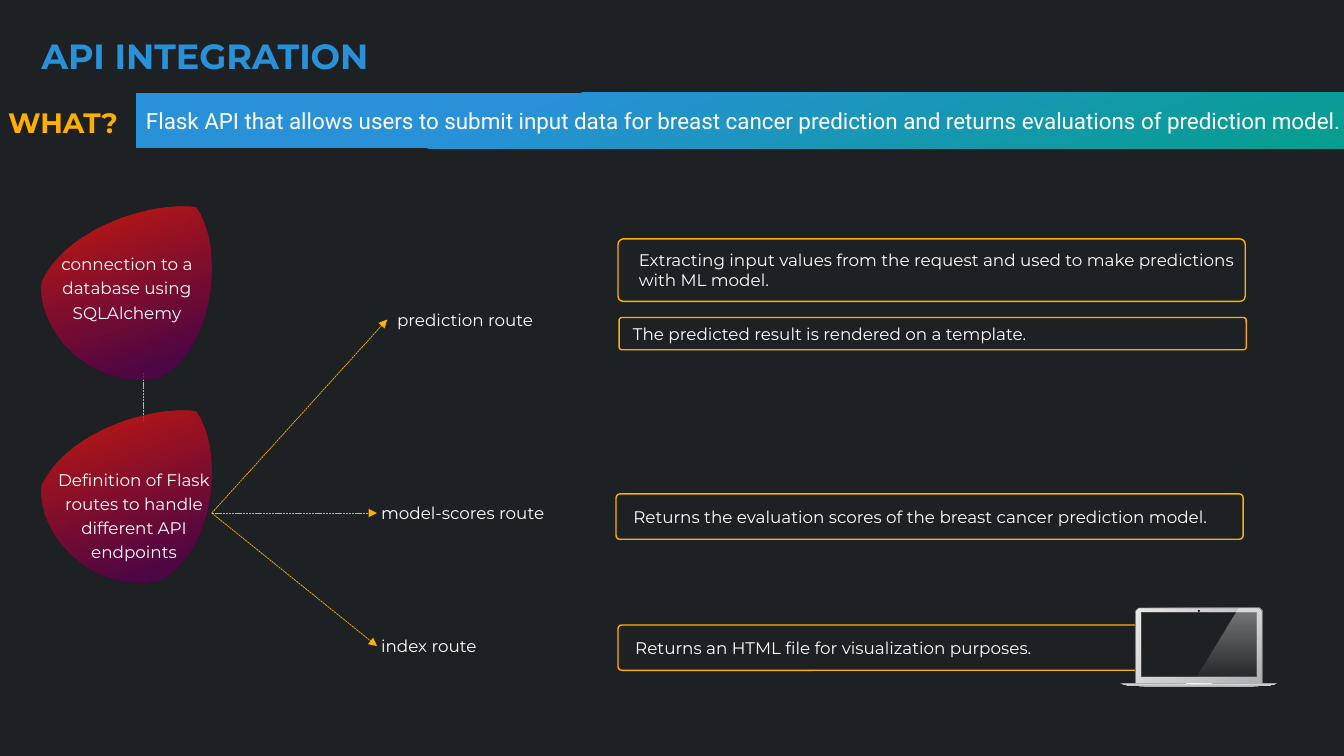
from dataclasses import dataclass

from lxml.etree import SubElement
from pptx import Presentation
from pptx.dml.color import RGBColor
from pptx.enum.dml import MSO_LINE
from pptx.enum.shapes import MSO_CONNECTOR, MSO_SHAPE
from pptx.enum.text import MSO_ANCHOR, MSO_AUTO_SIZE, PP_ALIGN
from pptx.oxml.ns import qn
from pptx.util import Inches, Pt


@dataclass(frozen=True)
class Theme:
    background: str = "1E2123"
    blue: str = "2891D7"
    teal: str = "00A082"
    amber: str = "FFAF00"
    red: str = "D71414"
    purple: str = "5A004B"
    white: str = "FFFFFF"
    silver: str = "E8E7E8"
    steel: str = "AFB2B4"
    graphite: str = "47484B"
    black: str = "0C0C0C"
    font: str = "Montserrat"
    banner_font: str = "Roboto"
    title_size: int = 25
    question_size: int = 20
    banner_size: int = 16
    body_size: int = 12


@dataclass(frozen=True)
class Box:
    left: float
    top: float
    width: float
    height: float

    def inches(self):
        return [Inches(v) for v in (self.left, self.top, self.width, self.height)]


THEME = Theme()


def rgb(color):
    return RGBColor.from_string(color)


def write(shape, text, size=THEME.body_size, color=THEME.white, font=THEME.font, bold=False,
          align=PP_ALIGN.LEFT, anchor=MSO_ANCHOR.TOP, spacing=1.0, left=0.1, right=0.1):
    frame = shape.text_frame
    frame.text = text
    frame.word_wrap = True
    frame.auto_size = MSO_AUTO_SIZE.NONE
    frame.vertical_anchor = anchor
    frame.margin_left, frame.margin_right = Inches(left), Inches(right)
    para = frame.paragraphs[0]
    para.alignment = align
    para.line_spacing = spacing
    para.font.name, para.font.size, para.font.bold = font, Pt(size), bold
    para.font.color.rgb = rgb(color)


def add_text(page, box, text, **style):
    shape = page.shapes.add_textbox(*box.inches())
    write(shape, text, **style)
    return shape


def paint_gradient(shape, stops, angle):
    shape.shadow.inherit = False
    shape.fill.gradient()
    shape.fill.gradient_angle = 360 - angle
    for stop, (position, color, opacity) in zip(shape.fill.gradient_stops, stops):
        stop.position = position
        stop.color.rgb = rgb(color)
    colors = shape._element.spPr.iter(qn("a:srgbClr"))
    for element, (position, color, opacity) in zip(list(colors), stops):
        if opacity < 100:
            SubElement(element, qn("a:alpha"), val=str(opacity * 1000))
    shape.line.fill.background()


def add_outline(page, box, *contours):
    points = [[(Inches(box.left + x), Inches(box.top + y)) for x, y in contour]
              for contour in contours]
    builder = page.shapes.build_freeform(*points[0][0])
    builder.add_line_segments(points[0][1:], close=True)
    for contour in points[1:]:
        builder.move_to(*contour[0])
        builder.add_line_segments(contour[1:], close=True)
    return builder.convert_to_shape()


def curve(start, first, second, end, steps=24):
    for step in range(1, steps + 1):
        t = step / steps
        weights = ((1 - t) ** 3, 3 * t * (1 - t) ** 2, 3 * t * t * (1 - t), t ** 3)
        yield tuple(sum(w * point[axis] for w, point in zip(weights, (start, first, second, end)))
                    for axis in (0, 1))


def add_link(page, start, end, target=None):
    link = page.shapes.add_connector(MSO_CONNECTOR.STRAIGHT,
                                     *[Inches(v) for v in (*start, *end)])
    link.line.color.rgb = rgb(THEME.amber)
    link.line.width = Pt(0.5)
    link.line.dash_style = MSO_LINE.SQUARE_DOT
    if target is not None:
        link.end_connect(target, 1)
        SubElement(link.line._get_or_add_ln(), qn("a:tailEnd"), type="triangle")
    SubElement(link._element.spPr, qn("a:effectLst"))


def add_title(page, box, text):
    title = page.shapes.title
    title.left, title.top, title.width, title.height = box.inches()
    write(title, text, size=THEME.title_size, color=THEME.blue, bold=True, spacing=0.9)


def add_banner(page, box, question, answer):
    add_text(page, Box(box.left - 1.77, box.top + 0.08, 2.09, 0.44), question,
             size=THEME.question_size, color=THEME.amber, bold=True, align=PP_ALIGN.CENTER)
    bar = page.shapes.add_shape(MSO_SHAPE.RECTANGLE, *box.inches())
    paint_gradient(bar, [(0.28, THEME.blue, 100), (1, THEME.teal, 100)], 70)
    write(bar, answer, size=THEME.banner_size, font=THEME.banner_font, anchor=MSO_ANCHOR.MIDDLE)


def add_step(page, box, text, text_box):
    corners = [(0, 0.74), (1.52, 0.01), (1.16, 1.69)]
    handles = [((0.24, 0.23), (1.04, -0.05)), ((1.8, 0.39), (1.72, 1.4)),
               ((0.51, 1.83), (-0.06, 1.24))]
    contour = [corners[0]]
    for index, pair in enumerate(handles):
        contour += curve(corners[index], *pair, corners[(index + 1) % 3])
    blob = add_outline(page, box, contour)
    paint_gradient(blob, [(0.12, THEME.red, 80), (0.85, THEME.purple, 80)], 70)
    add_text(page, text_box, text, align=PP_ALIGN.CENTER, anchor=MSO_ANCHOR.MIDDLE,
             spacing=1.2, left=0.03, right=0.03)


def add_routes(page, origin, routes):
    for text, box, inset in routes:
        label = add_text(page, box, text, left=inset)
        add_link(page, origin, (box.left, box.top + box.height / 2), label)


def add_card(page, box, text, inset):
    card = page.shapes.add_shape(MSO_SHAPE.ROUNDED_RECTANGLE, *box.inches())
    card.adjustments[0] = 0.085
    card.shadow.inherit = False
    card.fill.background()
    card.line.color.rgb = rgb(THEME.amber)
    card.line.width = Pt(1)
    write(card, text, anchor=MSO_ANCHOR.MIDDLE, left=inset, right=0.03)


def add_laptop(page, box):
    lid = [(0.18, 0), (1.38, 0), (1.41, 0.03), (1.41, 0.75), (0.15, 0.75), (0.15, 0.03)]
    screen = [(0.21, 0.05), (0.21, 0.68), (1.35, 0.68), (1.35, 0.05)]
    frame = add_outline(page, box, lid, screen)
    paint_gradient(frame, [(0, THEME.silver, 100), (0.95, THEME.steel, 100)], 34)
    frame.line.color.rgb = rgb(THEME.graphite)
    frame.line.width = Pt(0.5)
    camera = page.shapes.add_shape(
        MSO_SHAPE.OVAL, *Box(box.left + 0.77, box.top + 0.02, 0.02, 0.02).inches())
    camera.shadow.inherit = False
    camera.fill.solid()
    camera.fill.fore_color.rgb = rgb(THEME.black)
    camera.line.fill.background()
    base = add_outline(page, box, [(0, 0.75), (1.56, 0.75), (1.48, 0.77), (1.3, 0.78),
                                   (0.26, 0.78), (0.08, 0.77)])
    paint_gradient(base, [(0, THEME.silver, 100), (1, THEME.steel, 100)], 90)
    notch = page.shapes.add_shape(
        MSO_SHAPE.RECTANGLE, *Box(box.left + 0.65, box.top + 0.75, 0.26, 0.01).inches())
    paint_gradient(notch, [(0, THEME.white, 100), (1, THEME.silver, 100)], 0)
    glare = add_outline(page, box, [(1.17, 0.01), (1.38, 0.01), (1.4, 0.04),
                                    (1.4, 0.75), (0.72, 0.75)])
    paint_gradient(glare, [(0, THEME.white, 40), (1, THEME.white, 0)], 90)


def build_api_page(deck):
    page = deck.slides.add_slide(deck.slide_layouts[5])
    page.background.fill.solid()
    page.background.fill.fore_color.rgb = rgb(THEME.background)
    add_link(page, (1.42, 3.7), (1.42, 4.18))
    add_title(page, Box(0.31, 0.34, 9.33, 0.55), "API INTEGRATION")
    add_banner(page, Box(1.35, 0.92, 13.36, 0.55), "WHAT?",
               "Flask API that allows users to submit input data for breast cancer prediction "
               "and returns evaluations of prediction model.")
    add_step(page, Box(0.42, 2.05, 1.68, 1.71), "connection to a database using SQLAlchemy",
             Box(0.33, 2.46, 1.86, 0.76))
    add_step(page, Box(0.42, 4.07, 1.68, 1.71),
             "Definition of Flask routes to handle different API endpoints",
             Box(0.4, 4.59, 1.86, 1.01))
    add_routes(page, (2.1, 5.09), [
        ("prediction route", Box(3.84, 3.02, 2.39, 0.3), 0.1),
        ("model-scores route", Box(3.74, 4.94, 2.33, 0.3), 0.04),
        ("index route", Box(3.74, 6.26, 2.33, 0.3), 0.04)])
    for box, text, inset in [
            (Box(6.13, 2.37, 6.22, 0.62), "Extracting input values from the request and used "
             "to make predictions with ML model.", 0.19),
            (Box(6.14, 3.15, 6.22, 0.32), "The predicted result is rendered on a template.", 0.13),
            (Box(6.11, 4.9, 6.22, 0.45), "Returns the evaluation scores of the breast cancer "
             "prediction model.", 0.16),
            (Box(6.13, 6.2, 5.17, 0.45), "Returns an HTML file for visualization purposes.", 0.16)]:
        add_card(page, box, text, inset)
    add_laptop(page, Box(11.11, 6.03, 1.56, 0.78))


def main():
    deck = Presentation()
    deck.slide_width, deck.slide_height = Inches(13.33), Inches(7.5)
    build_api_page(deck)
    deck.save("out.pptx")


if __name__ == "__main__":
    main()
